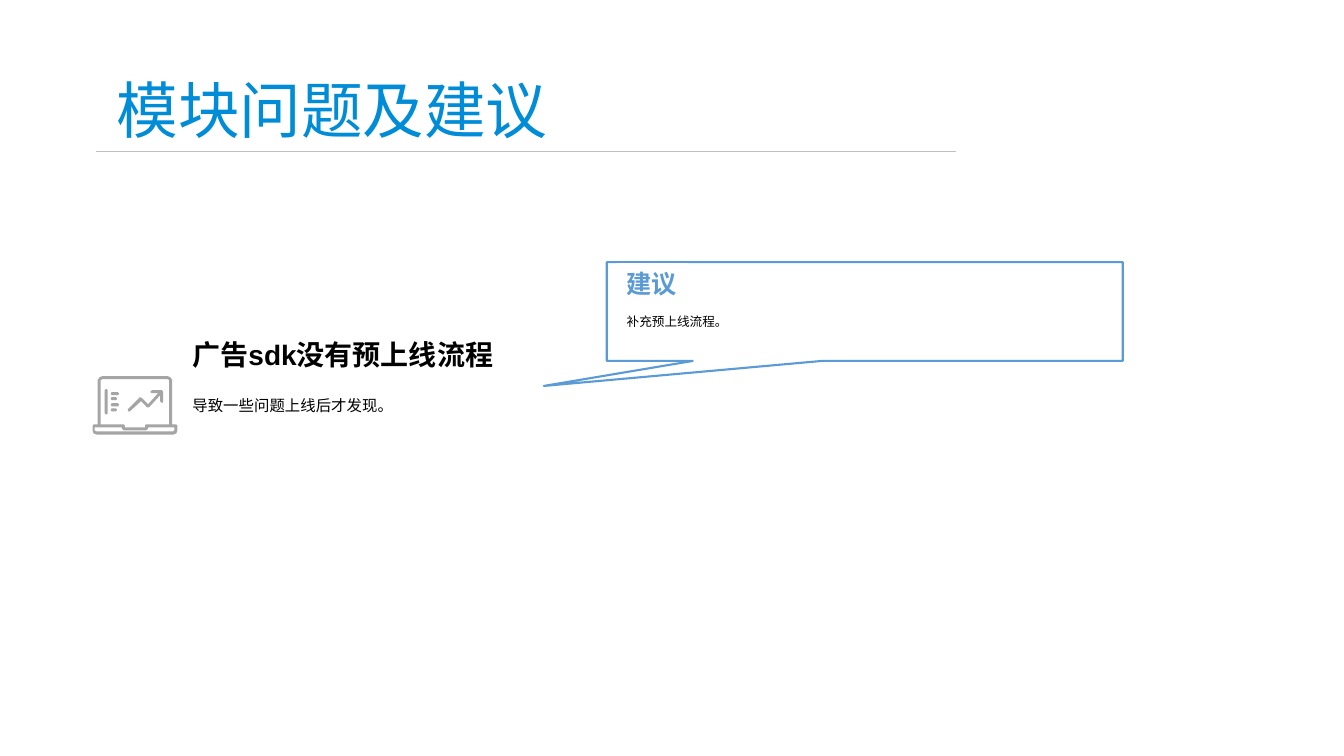
from dataclasses import dataclass

from lxml import etree
from pptx import Presentation
from pptx.dml.color import RGBColor
from pptx.enum.shapes import MSO_CONNECTOR, MSO_SHAPE
from pptx.enum.text import MSO_ANCHOR
from pptx.oxml.ns import qn
from pptx.util import Pt

STRAIGHT = MSO_CONNECTOR.STRAIGHT
CALLOUT = MSO_SHAPE.RECTANGULAR_CALLOUT
TOP, MIDDLE = MSO_ANCHOR.TOP, MSO_ANCHOR.MIDDLE


@dataclass(frozen=True)
class Theme:
    title: RGBColor = RGBColor(0x00, 0x8C, 0xD7)
    accent: RGBColor = RGBColor(0x5B, 0x9B, 0xD5)
    ink: RGBColor = RGBColor(0, 0, 0)
    paper: RGBColor = RGBColor(0xFF, 0xFF, 0xFF)
    rule: RGBColor = RGBColor(0xBF, 0xBF, 0xBF)
    icon: RGBColor = RGBColor(0xA5, 0xA5, 0xA5)
    latin: str = "Arial"
    asian: str = "Noto Sans CJK SC"
    huge: float = 44
    head: float = 20
    label: float = 18
    body: float = 11
    note: float = 9


THEME = Theme()


def add_text(slide, text, box, size, color=THEME.ink, font=THEME.latin,
             bold=False, spacing=1.0, anchor=TOP, inset=7.2, wrap=True, fill=None):
    shape = slide.shapes.add_textbox(*map(Pt, box))
    if fill is not None:
        shape.fill.solid()
        shape.fill.fore_color.rgb = fill
    frame = shape.text_frame
    frame.word_wrap = wrap
    frame.vertical_anchor = anchor
    frame.margin_left = Pt(inset)
    para = frame.paragraphs[0]
    para.line_spacing = spacing
    run = para.add_run()
    run.text = text
    run.font.name = font
    run.font.size = Pt(size)
    run.font.bold = bold
    run.font.color.rgb = color
    asian = etree.Element(qn("a:ea"), typeface=THEME.asian)
    run.font._element.find(qn("a:latin")).addnext(asian)


def add_title(slide, box):
    left, top, width, height = box
    add_text(slide, "模块问题及建议", box, THEME.huge, THEME.title, THEME.asian,
             spacing=0.9, anchor=MIDDLE, inset=17.2)
    level = top + 79.2
    line = slide.shapes.add_connector(
        STRAIGHT, Pt(left + 2.4), Pt(level), Pt(left + 616.6), Pt(level))
    line.line.color.rgb = THEME.rule
    line.line.width = Pt(0.25)
    etree.SubElement(line._element.spPr, qn("a:effectLst"))


def pill(x, y, w, h):
    r, b = x + w, y + h
    return [(x, y + 1), (x + 1, y), (r - 1, y), (r, y + 1),
            (r, b - 1), (r - 1, b), (x + 1, b), (x, b - 1)]


def add_laptop(slide, left, top):
    shell = [(10, 0), (74, 0), (77, 1), (79, 4), (79, 48), (83, 48), (84, 49),
             (84, 54), (83, 57), (80, 58), (4, 58), (1, 57), (0, 54), (0, 49),
             (1, 48), (5, 48), (5, 4), (7, 1)]
    screen = [(10, 3), (74, 3), (76, 4), (76, 48), (53, 48), (52, 49), (52, 51),
              (32, 51), (32, 49), (31, 48), (8, 48), (8, 4)]
    base = [(2, 51), (2, 54), (4, 55), (80, 55), (81, 54), (81, 51), (55, 51),
            (55, 52), (53, 54), (31, 54), (29, 52), (29, 51)]
    arrow = [(59, 14), (69, 14), (70, 16), (70, 25), (69, 27), (67, 25), (67, 19),
             (56, 31), (54, 31), (48, 25), (37, 35), (35, 35), (35, 33), (47, 21),
             (49, 22), (55, 28), (65, 17), (59, 17), (57, 16)]
    ticks = [pill(18, y, w, 3) for y, w in ((16, 8), (21, 6), (27, 8), (32, 6))]
    outlines = [shell, screen, base, arrow, pill(12, 13, 3, 25), *ticks]
    pen = slide.shapes.build_freeform(*shell[0], scale=Pt(0.72))
    for index, points in enumerate(outlines):
        if index:
            pen.move_to(*points[0])
        pen.add_line_segments(points[1:], close=True)
    laptop = pen.convert_to_shape(Pt(left), Pt(top))
    laptop.shadow.inherit = False
    laptop.fill.solid()
    laptop.fill.fore_color.rgb = THEME.icon
    laptop.line.fill.background()


def add_advice(slide, box):
    left, top, width, height = box
    bubble = slide.shapes.add_shape(CALLOUT, *map(Pt, box))
    bubble.adjustments[0] = -0.622
    bubble.adjustments[1] = 0.753
    bubble.shadow.inherit = False
    bubble.fill.background()
    bubble.line.color.rgb = THEME.accent
    bubble.line.width = Pt(1.5)
    add_text(slide, "补充预上线流程。", (left + 7.2, top + 28.1, 290.9, 47.5),
             THEME.note, spacing=1.5)
    add_text(slide, "建议", (left + 7.2, top + 0.7, 50.4, 28.8), THEME.label,
             THEME.accent, bold=True, wrap=False, fill=THEME.paper)


def add_issue(slide, box):
    left, top, width, height = box
    add_laptop(slide, left, top + 31)
    side, span = left + 64.1, width - 64.1
    add_text(slide, "导致一些问题上线后才发现。",
             (side, top + 35.3, span, height - 35.3), THEME.body, spacing=1.5)
    add_text(slide, "广告sdk没有预上线流程", (side, top, span, 34.6),
             THEME.head, bold=True)


def main():
    deck = Presentation()
    deck.slide_width, deck.slide_height = Pt(960), Pt(540)
    slide = deck.slides.add_slide(deck.slide_layouts[6])
    add_title(slide, (66, 28.8, 828, 104.4))
    add_advice(slide, (433.4, 187.2, 368.6, 70.6))
    add_issue(slide, (66.2, 237.6, 504, 124.6))
    deck.save("out.pptx")


if __name__ == "__main__":
    main()
